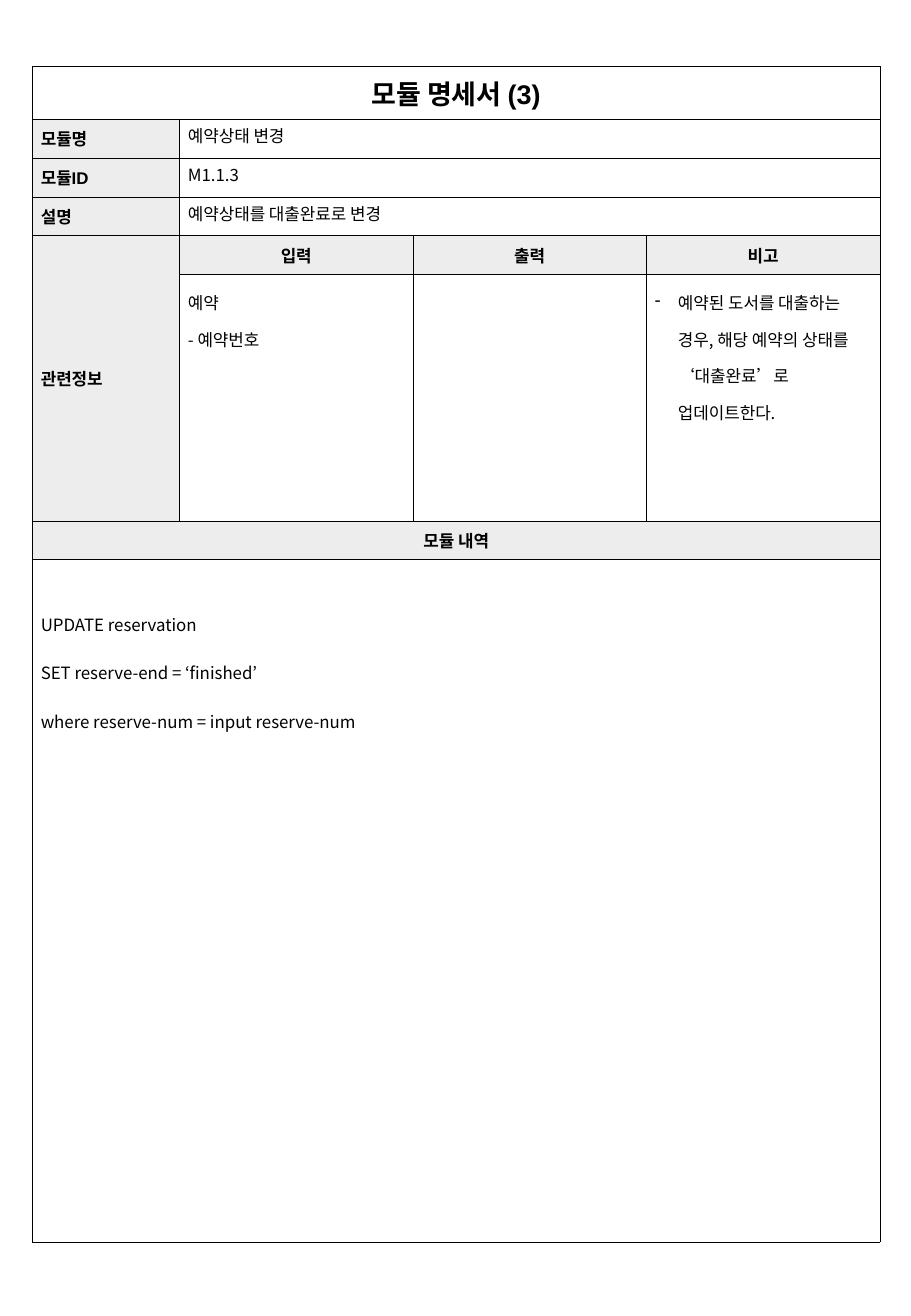
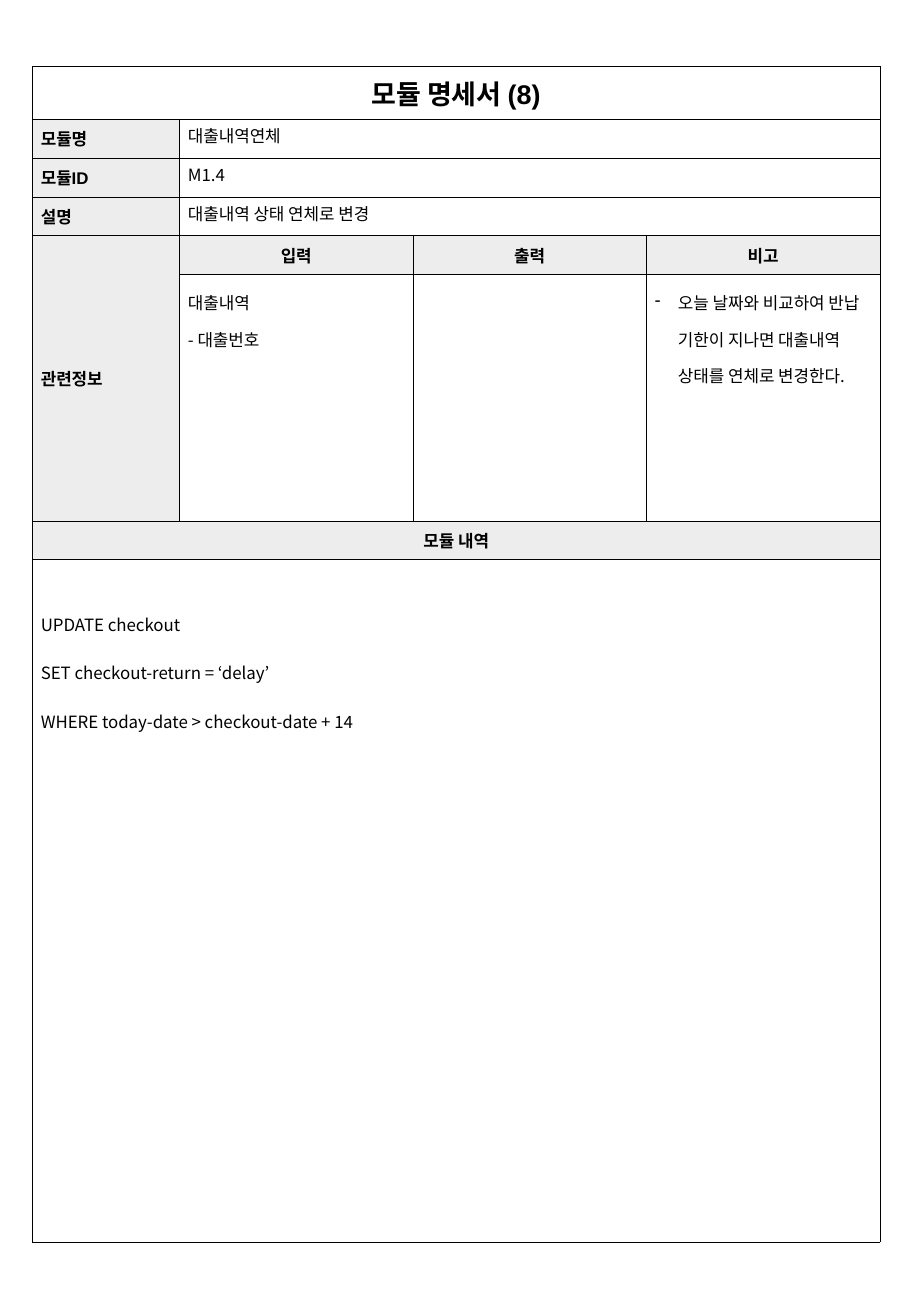
import dataclasses

import lxml.etree
import pptx
import pptx.dml.color
import pptx.enum.text
import pptx.oxml.ns
import pptx.util

Pt = pptx.util.Pt
qn = pptx.oxml.ns.qn
ALIGN = pptx.enum.text.PP_ALIGN
ANCHOR = pptx.enum.text.MSO_ANCHOR


@dataclasses.dataclass(frozen=True)
class Theme:
    ink: str = "000000"
    paper: str = "FFFFFF"
    band: str = "EDEDED"
    heading_font: str = "Arial"
    body_font: str = "Noto Sans CJK KR"
    title_size: float = 16
    body_size: float = 10
    border: float = 0.25
    side_margin: float = 5
    edge_margin: float = 2.3
    note_indent: float = 13.7
    code_top: float = 16.7


@dataclasses.dataclass(frozen=True)
class Module:
    number: int
    name: str
    code: str
    description: str
    inputs: tuple
    note: str
    query: tuple


THEME = Theme()
COLUMNS = [87.2] + [138.4] * 3
ROWS = [31.3] + [23] * 4 + [146, 23, 404.7]
MERGES = [((0, 0), (0, 3)), ((4, 0), (5, 0)), ((6, 0), (6, 3)), ((7, 0), (7, 3))]
MERGES += [((row, 1), (row, 3)) for row in (1, 2, 3)]

MODULES = [
    Module(
        3, "예약상태 변경", "M1.1.3", "예약상태를 대출완료로 변경",
        ("예약", "- 예약번호"),
        "예약된 도서를 대출하는 경우, 해당 예약의 상태를 ‘대출완료’로 업데이트한다.",
        ("UPDATE reservation", "SET reserve-end = ‘finished’",
         "where reserve-num = input reserve-num"),
    ),
    Module(
        8, "대출내역연체", "M1.4", "대출내역 상태 연체로 변경",
        ("대출내역", "- 대출번호"),
        "오늘 날짜와 비교하여 반납 기한이 지나면 대출내역 상태를 연체로 변경한다.",
        ("UPDATE checkout", "SET checkout-return = ‘delay’",
         "WHERE today-date > checkout-date + 14"),
    ),
]


def style_font(paragraph, size, bold):
    font = paragraph.font
    font.size = Pt(size)
    font.bold = bold
    font.color.rgb = pptx.dml.color.RGBColor.from_string(THEME.ink)
    font.name = THEME.heading_font if bold else THEME.body_font
    defaults = paragraph._p.pPr.find(qn("a:defRPr"))
    lxml.etree.SubElement(defaults, qn("a:ea"), typeface=THEME.body_font)


def add_dash(paragraph):
    properties = paragraph._p.get_or_add_pPr()
    indent = Pt(THEME.note_indent)
    properties.set("marL", str(indent))
    properties.set("indent", str(-indent))
    lxml.etree.SubElement(properties, qn("a:buChar"), char="-")


def frame_cell(cell):
    properties = cell._tc.get_or_add_tcPr()
    for side in ("lnL", "lnR", "lnT", "lnB"):
        line = lxml.etree.SubElement(properties, qn(f"a:{side}"), w=str(Pt(THEME.border)))
        fill = lxml.etree.SubElement(line, qn("a:solidFill"))
        lxml.etree.SubElement(fill, qn("a:srgbClr"), val=THEME.ink)
    cell.margin_left = cell.margin_right = Pt(THEME.side_margin)
    cell.margin_top = cell.margin_bottom = Pt(THEME.edge_margin)
    paint_cell(cell, THEME.paper)


def paint_cell(cell, color):
    cell.fill.solid()
    cell.fill.fore_color.rgb = pptx.dml.color.RGBColor.from_string(color)


def write_heading(cell, text, align=ALIGN.CENTER, size=THEME.body_size, color=THEME.band):
    paint_cell(cell, color)
    cell.vertical_anchor = ANCHOR.MIDDLE
    paragraph = cell.text_frame.paragraphs[0]
    paragraph.text = text
    paragraph.alignment = align
    style_font(paragraph, size, True)


def write_body(cell, lines, spacing=None, dashed=False):
    cell.text = "\n".join(lines)
    for paragraph in cell.text_frame.paragraphs:
        if spacing:
            paragraph.line_spacing = spacing
        if dashed:
            add_dash(paragraph)
        style_font(paragraph, THEME.body_size, False)


def add_grid(slide):
    table = slide.shapes.add_table(
        len(ROWS), len(COLUMNS), Pt(19.2), Pt(39.4), Pt(sum(COLUMNS)), Pt(sum(ROWS))
    ).table
    table.first_row = table.horz_banding = False
    for column, width in zip(table.columns, COLUMNS):
        column.width = Pt(width)
    for row, height in zip(table.rows, ROWS):
        row.height = Pt(height)
    for cell in table.iter_cells():
        frame_cell(cell)
    for first, last in MERGES:
        table.cell(*first).merge(table.cell(*last))
    return table


def add_specification(slide, module):
    grid = add_grid(slide)
    write_heading(grid.cell(0, 0), f"모듈 명세서 ({module.number})",
                  size=THEME.title_size, color=THEME.paper)
    for row, label in enumerate(("모듈명", "모듈ID", "설명", "관련정보"), 1):
        write_heading(grid.cell(row, 0), label, align=ALIGN.LEFT)
    for row, value in enumerate((module.name, module.code, module.description), 1):
        write_body(grid.cell(row, 1), [value])
    for column, label in enumerate(("입력", "출력", "비고"), 1):
        write_heading(grid.cell(4, column), label)
    write_body(grid.cell(5, 1), module.inputs, spacing=1.5)
    write_body(grid.cell(5, 3), [module.note], spacing=1.5, dashed=True)
    write_heading(grid.cell(6, 0), "모듈 내역")
    query = grid.cell(7, 0)
    query.margin_top = Pt(THEME.code_top)
    write_body(query, module.query, spacing=2.0)


def main():
    deck = pptx.Presentation()
    deck.slide_width, deck.slide_height = Pt(540), Pt(780)
    blank_layout = deck.slide_layouts[6]
    for module in MODULES:
        add_specification(deck.slides.add_slide(blank_layout), module)
    deck.save("out.pptx")


if __name__ == "__main__":
    main()
